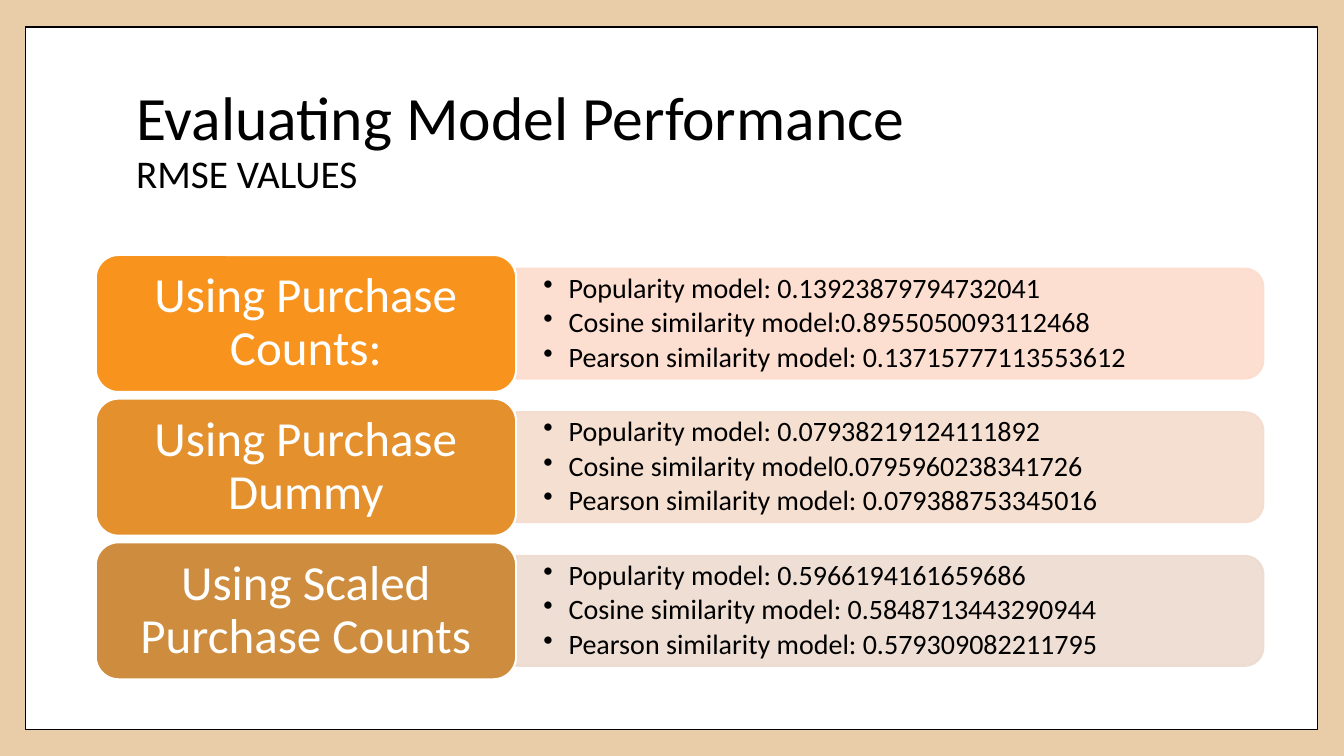
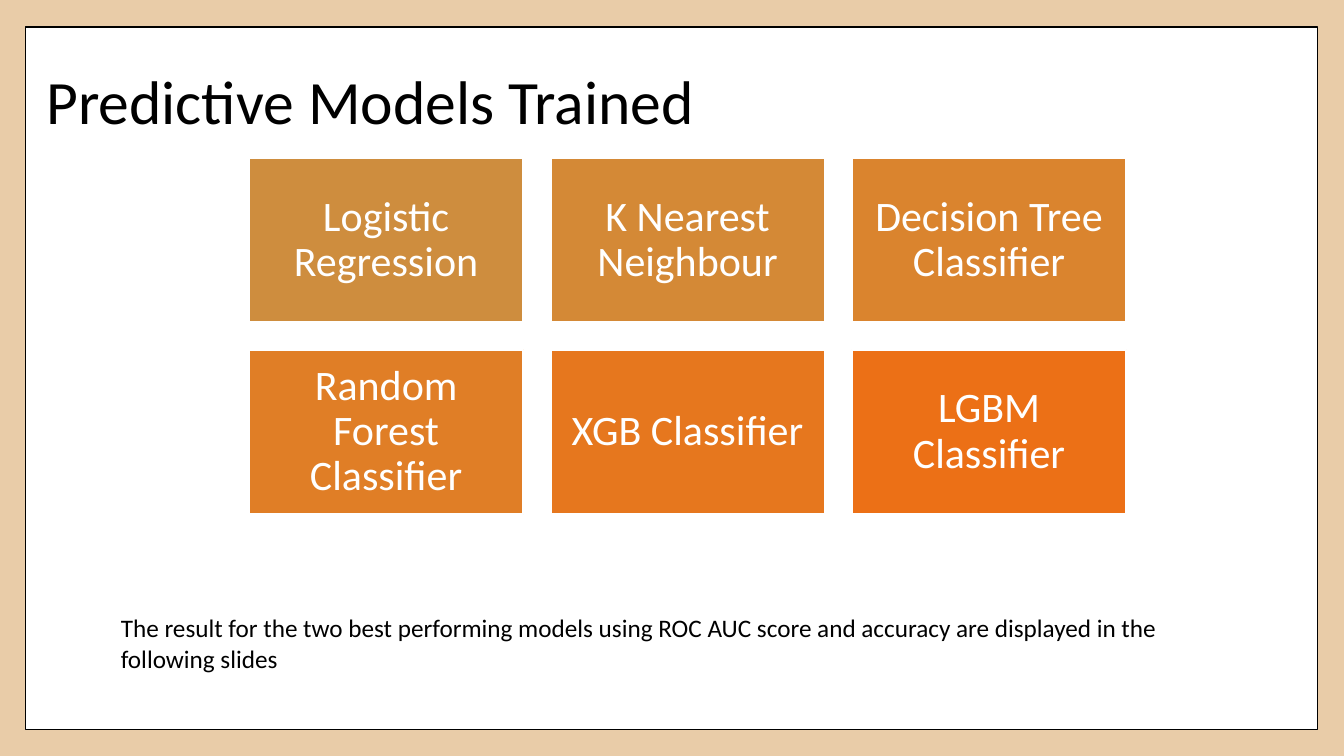
import pptx
import pptx.dml.color
import pptx.enum.shapes
import pptx.enum.text
import pptx.oxml
import pptx.oxml.ns
import pptx.util
from pptx.util import Inches

MSO_SHAPE = pptx.enum.shapes.MSO_SHAPE
ALIGN = pptx.enum.text.PP_ALIGN
ANCHOR = pptx.enum.text.MSO_ANCHOR
Pt = pptx.util.Pt

FONT = "Calibri"
BLACK, WHITE, BACKGROUND = "000000", "FFFFFF", "E9CCA8"
NAMESPACE = pptx.oxml.ns.nsdecls("a")


def write(shape, paragraphs, color=BLACK, align=ALIGN.LEFT, margins=(0.1, 0.05),
          anchor=ANCHOR.MIDDLE, spacing=0.9, after=0, bullet=False):
    """Fill a shape with paragraphs, each a list of (text, size) lines."""
    frame = shape.text_frame
    frame.word_wrap = True
    frame.auto_size = pptx.enum.text.MSO_AUTO_SIZE.NONE
    frame.vertical_anchor = anchor
    frame.margin_left = frame.margin_right = Inches(margins[0])
    frame.margin_top = frame.margin_bottom = Inches(margins[1])
    for index, lines in enumerate(paragraphs):
        paragraph = frame.add_paragraph() if index else frame.paragraphs[0]
        if bullet:
            properties = paragraph._p.get_or_add_pPr()
            properties.set("marL", str(Inches(0.25)))
            properties.set("indent", str(-Inches(0.25)))
            properties.append(pptx.oxml.parse_xml(f'<a:buChar {NAMESPACE} char="•"/>'))
        paragraph.alignment = align
        paragraph.line_spacing = spacing
        paragraph.space_after = Pt(after)
        for number, (text, size) in enumerate(lines):
            if number:
                paragraph.add_line_break()
            run = paragraph.add_run()
            run.text = text
            run.font.name = FONT
            run.font.size = Pt(size)
            run.font.color.rgb = pptx.dml.color.RGBColor.from_string(color)


def add_block(slide, kind, left, top, width, height, fill, line, line_width=1.5):
    shape = slide.shapes.add_shape(kind, Inches(left), Inches(top), Inches(width), Inches(height))
    shape.shadow.inherit = False
    shape.fill.solid()
    shape.fill.fore_color.rgb = pptx.dml.color.RGBColor.from_string(fill)
    shape.line.color.rgb = pptx.dml.color.RGBColor.from_string(line)
    shape.line.width = Pt(line_width)
    return shape


presentation = pptx.Presentation()
presentation.slide_width = Inches(13.33)
presentation.slide_height = Inches(7.5)

# Shared background and frame, and one title per slide
background = presentation.slide_master.background.fill
background.solid()
background.fore_color.rgb = pptx.dml.color.RGBColor.from_string(BACKGROUND)
layout = presentation.slide_layouts[5]

titles = [
    (1.25, 0.67, [("Evaluating Model Performance", 44), ("RMSE VALUES", 28)]),
    (0.36, 0.3, [("Predictive Models Trained", 44)]),
]
for left, top, lines in titles:
    slide = presentation.slides.add_slide(layout)
    title = slide.shapes.title
    title.left, title.top = Inches(left), Inches(top)
    title.width, title.height = Inches(10.8), Inches(1.48)
    write(title, [lines])
performance_slide, models_slide = presentation.slides

page_frame = add_block(performance_slide, MSO_SHAPE.RECTANGLE, 0.25, 0.27, 12.82, 6.97,
                       WHITE, BLACK, 1)
layout.shapes.element.insert(2, page_frame.element)  # move it behind the layout's placeholders

# Slide 1: RMSE values per data set
data_sets = [
    ("Using Purchase Counts:", "F8931D", "FCDCCD",
     ["Popularity model: 0.13923879794732041",
      "Cosine similarity model:0.8955050093112468",
      "Pearson similarity model: 0.13715777113553612"]),
    ("Using Purchase Dummy", "E3902D", "F5DCCD",
     ["Popularity model: 0.07938219124111892",
      "Cosine similarity model0.0795960238341726",
      "Pearson similarity model: 0.079388753345016"]),
    ("Using Scaled Purchase Counts", "CE8D3E", "EDDBCF",
     ["Popularity model: 0.5966194161659686",
      "Cosine similarity model: 0.5848713443290944",
      "Pearson similarity model: 0.579309082211795"]),
]
LABEL_LEFT, LABEL_WIDTH, LABEL_HEIGHT = 0.95, 4.17, 1.36
PANEL_LEFT = LABEL_LEFT + LABEL_WIDTH
PANEL_LENGTH, PANEL_HEIGHT = 7.41, 1.09
VALUES_WIDTH, VALUES_HEIGHT = 7.36, 0.98
for row, (label, label_color, panel_color, values) in enumerate(data_sets):
    label_top = 2.53 + row * 1.425
    middle = label_top + LABEL_HEIGHT / 2
    panel = add_block(performance_slide, MSO_SHAPE.ROUND_2_SAME_RECTANGLE,
                      PANEL_LEFT + (PANEL_LENGTH - PANEL_HEIGHT) / 2, middle - PANEL_LENGTH / 2,
                      PANEL_HEIGHT, PANEL_LENGTH, panel_color, panel_color)
    panel.rotation = 90
    for color_element in panel.element.iter(pptx.oxml.ns.qn("a:srgbClr")):
        color_element.append(pptx.oxml.parse_xml(f'<a:alpha {NAMESPACE} val="90000"/>'))
    value_box = performance_slide.shapes.add_textbox(
        Inches(PANEL_LEFT), Inches(middle - VALUES_HEIGHT / 2),
        Inches(VALUES_WIDTH), Inches(VALUES_HEIGHT))
    write(value_box, [[(value, 20)] for value in values], margins=(0.27, 0.14),
          after=3, bullet=True)
    label_block = add_block(performance_slide, MSO_SHAPE.ROUNDED_RECTANGLE, LABEL_LEFT, label_top,
                            LABEL_WIDTH, LABEL_HEIGHT, label_color, WHITE)
    write(label_block, [[(label, 35)]], WHITE, ALIGN.CENTER, (0.15, 0.07))

# Slide 2: grid of trained models
models = [
    ("Logistic Regression", "CE8D3E"),
    ("K Nearest Neighbour", "D48936"),
    ("Decision Tree Classifier", "DA842E"),
    ("Random Forest Classifier", "E07E26"),
    ("XGB Classifier", "E6771E"),
    ("LGBM Classifier", "EC7016"),
]
for index, (model, color) in enumerate(models):
    row, column = divmod(index, 3)
    tile = add_block(models_slide, MSO_SHAPE.RECTANGLE, 2.47 + column * 2.99, 1.57 + row * 1.9,
                     2.72, 1.63, color, WHITE)
    write(tile, [[(model, 30)]], WHITE, ALIGN.CENTER, (0.12, 0.12))

note = models_slide.shapes.add_textbox(Inches(1.1), Inches(6.03), Inches(11.25), Inches(0.71))
write(note, [[("The result for the two best performing models using ROC AUC score and accuracy "
               "are displayed in the following slides", 18)]], anchor=ANCHOR.TOP, spacing=1.0)

presentation.save("out.pptx")
